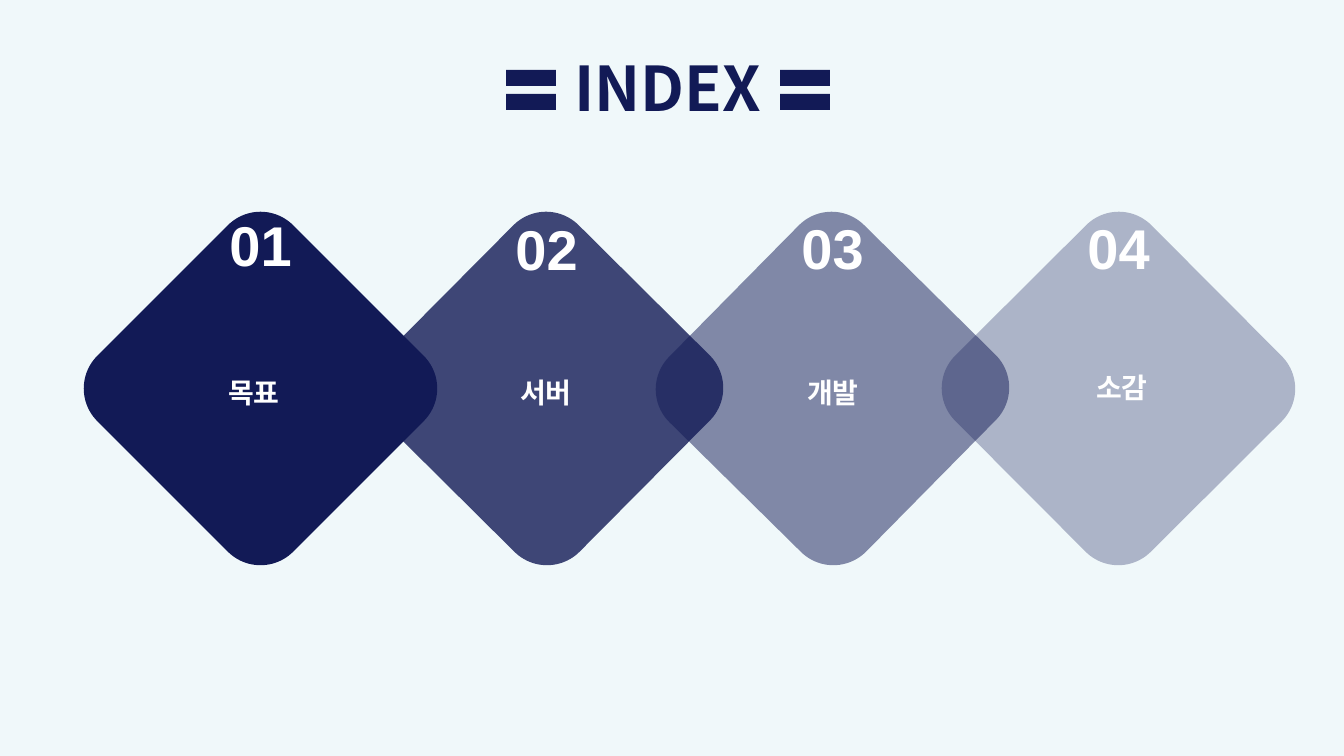
from lxml.etree import SubElement
from pptx import Presentation
from pptx.dml.color import RGBColor
from pptx.enum.shapes import MSO_SHAPE as SHAPE
from pptx.enum.text import MSO_ANCHOR as ANCHOR, MSO_AUTO_SIZE as AUTO, PP_ALIGN as ALIGN
from pptx.oxml.ns import qn
from pptx.util import Pt

NAVY, WHITE, PALE = "121A56", "FFFFFF", "F0F8FA"
KOREAN = "Noto Sans CJK KR"
TITLE = "INDEX"
# number, its top, label, its centre x and top, rotation, opacity
TOPICS = [
    ("01", 206, "목표", 254, 371, 45, 100),
    ("02", 210, "서버", 546, 371, 44.8, 80),
    ("03", 209, "개발", 833, 371, 44.6, 50),
    ("04", 209, "소감", 1122, 366, 45.1, 30),
]
EQUAL_LEFTS = (497, 771)
EQUAL_TOP, EQUAL_SIZE = 56, 68
LEFT, TOP, SIZE, STEP = 122, 250, 277, 286
NUMBER_W, NUMBER_H = 109, 78
LABEL_W, LABEL_H = 140, 44


def px(*values):
    return [round(v * 914400 / 100.8) for v in values]


def rgb(color):
    return RGBColor.from_string(color)


def write(tf, text, size=20, color=WHITE, font="Arial", align=ALIGN.CENTER,
          anchor=ANCHOR.TOP, spacing=None):
    tf.word_wrap = True
    tf.auto_size = AUTO.NONE
    tf.vertical_anchor = anchor
    p = tf.paragraphs[0]
    p.alignment = align
    p.line_spacing = spacing
    r = p.add_run()
    r.text = text
    r.font.name, r.font.size, r.font.bold = font, Pt(size), True
    r.font.color.rgb = rgb(color)
    SubElement(r.font._element, qn("a:ea"), typeface=KOREAN)


def add_solid(s, kind, x, y, size, opacity=100, rotation=0):
    shape = s.shapes.add_shape(kind, *px(x, y, size, size))
    shape.shadow.inherit = False
    shape.fill.solid()
    shape.fill.fore_color.rgb = rgb(NAVY)
    shape.line.fill.background()
    shape.rotation = rotation
    if opacity < 100:
        color = shape._element.spPr.find(qn("a:solidFill"))[0]
        SubElement(color, qn("a:alpha"), val=str(opacity * 1000))


def add_text(s, box, text, **fmt):
    write(s.shapes.add_textbox(*px(*box)).text_frame, text, **fmt)


def main():
    prs = Presentation()
    prs.slide_width, prs.slide_height = px(1344, 756)
    s = prs.slides.add_slide(prs.slide_layouts[5])
    s.background.fill.solid()
    s.background.fill.fore_color.rgb = rgb(PALE)

    title = s.shapes.title
    title.left, title.top, title.width, title.height = px(564, 61, 218, 62)
    write(title.text_frame, TITLE, size=44, color=NAVY, font=KOREAN,
          align=ALIGN.LEFT, anchor=ANCHOR.MIDDLE, spacing=0.9)
    for x in EQUAL_LEFTS:
        add_solid(s, SHAPE.MATH_EQUAL, x, EQUAL_TOP, EQUAL_SIZE)

    for i, topic in enumerate(TOPICS):
        rotation, opacity = topic[5:]
        add_solid(s, SHAPE.ROUNDED_RECTANGLE, LEFT + i * STEP, TOP, SIZE, opacity, rotation)

    for i, (number, number_top, label, label_mid, label_top, *_) in enumerate(TOPICS):
        number_x = LEFT + i * STEP + (SIZE - NUMBER_W) / 2
        add_text(s, (number_x, number_top, NUMBER_W, NUMBER_H), number, size=40)
        add_text(s, (label_mid - LABEL_W / 2, label_top, LABEL_W, LABEL_H), label)

    prs.save("out.pptx")


if __name__ == "__main__":
    main()
